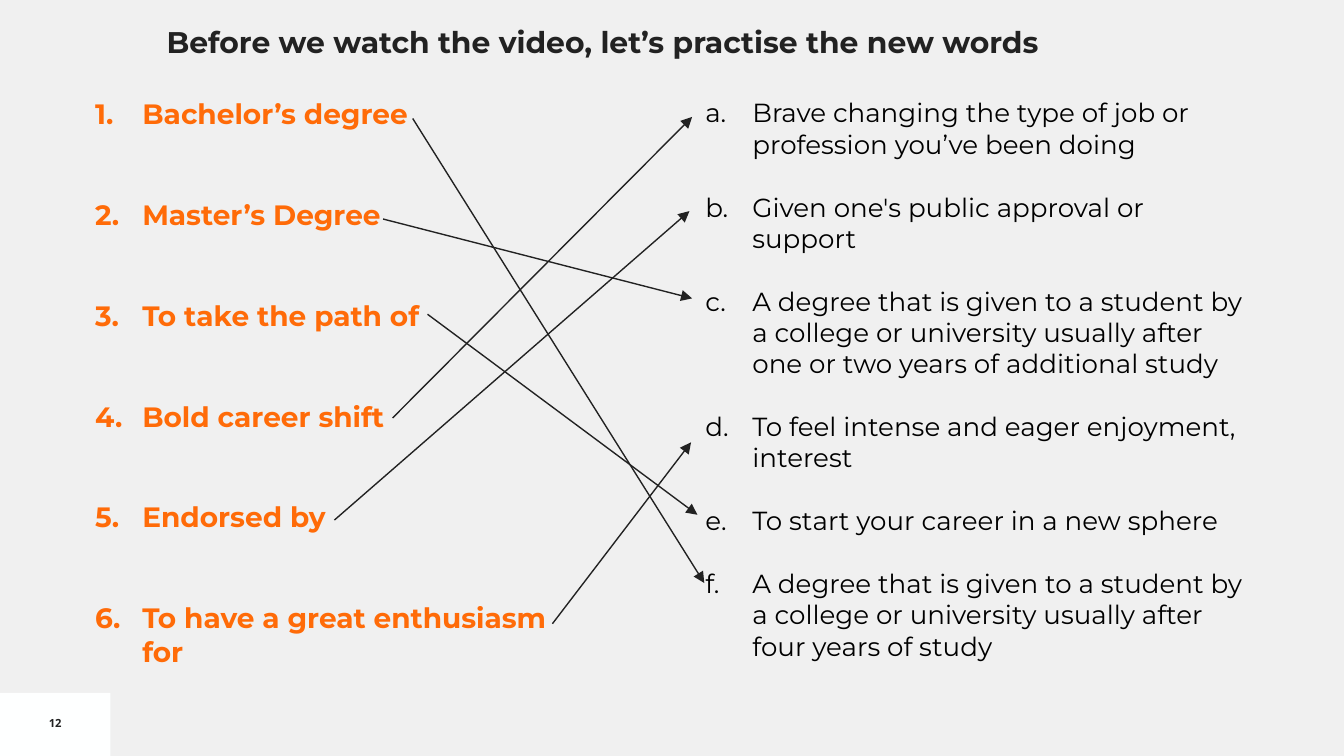
from dataclasses import dataclass

from pptx import Presentation
from pptx.dml.color import RGBColor
from pptx.enum.shapes import MSO_CONNECTOR, MSO_SHAPE
from pptx.enum.text import MSO_ANCHOR, PP_ALIGN
from pptx.oxml.ns import qn
from pptx.util import Cm, Pt
from lxml.etree import SubElement


@dataclass(frozen=True)
class Theme:
    back: str = "F0F0F0"
    panel: str = "FEFFFF"
    dark: str = "222222"
    black: str = "000000"
    accent: str = "FF6B08"
    font: str = "Montserrat"
    small: str = "Open Sans"
    title: float = 16
    term: float = 15
    body: float = 14
    page: float = 6
    line: float = 0.75


class Board:
    def __init__(self, slide, theme):
        self.slide = slide
        self.theme = theme
        fill = slide.background.fill
        fill.solid()
        fill.fore_color.rgb = RGBColor.from_string(theme.back)

    def panel(self, *area):
        shape = self.slide.shapes.add_shape(MSO_SHAPE.RECTANGLE, *map(Cm, area))
        shape.shadow.inherit = False
        shape.fill.solid()
        shape.fill.fore_color.rgb = RGBColor.from_string(self.theme.panel)
        shape.line.fill.background()

    def frame(self, area, inset=0.25):
        frame = self.slide.shapes.add_textbox(*map(Cm, area)).text_frame
        frame.word_wrap = True
        frame.margin_left = frame.margin_right = Cm(inset)
        frame.margin_top = frame.margin_bottom = Cm(inset)
        return frame

    def style(self, para, size, color, bold, face=None):
        font = para.font
        font.name = face or self.theme.font
        font.size = Pt(size)
        font.bold = bold
        font.color.rgb = RGBColor.from_string(color)

    def title(self, text, area):
        para = self.frame(area).paragraphs[0]
        para.text = text
        self.style(para, self.theme.title, self.theme.dark, True)

    def page(self, text, area):
        frame = self.frame(area, 0.1)
        frame.vertical_anchor = MSO_ANCHOR.MIDDLE
        para = frame.paragraphs[0]
        para.text = text
        para.alignment = PP_ALIGN.CENTER
        self.style(para, self.theme.page, self.theme.dark, True, self.theme.small)

    def items(self, texts, area, kind, size, color, gap, bold=False):
        frame = self.frame(area)
        for index, text in enumerate(texts):
            para = frame.add_paragraph() if index else frame.paragraphs[0]
            para.text = text
            props = para._p.get_or_add_pPr()
            props.set("marL", str(Cm(1.27)))
            props.set("indent", str(-Cm(0.89)))
            tint = SubElement(props, qn("a:buClr"))
            SubElement(tint, qn("a:srgbClr"), val=color)
            SubElement(props, qn("a:buFont"), typeface=self.theme.font)
            SubElement(props, qn("a:buAutoNum"), type=kind)
            if index:
                para.space_before = Pt(gap)
            self.style(para, size, color, bold)

    def arrow(self, start, end):
        link = self.slide.shapes.add_connector(
            MSO_CONNECTOR.STRAIGHT, *map(Cm, start + end))
        link.line.color.rgb = RGBColor.from_string(self.theme.dark)
        link.line.width = Pt(self.theme.line)
        SubElement(link.line._get_or_add_ln(), qn("a:tailEnd"), type="triangle")
        SubElement(link._element.spPr, qn("a:effectLst"))


TERMS = [
    "Bachelor’s degree",
    "Master’s Degree",
    "To take the path of",
    "Bold career shift",
    "Endorsed by",
    "To have a great enthusiasm for",
]
SENSES = [
    "Brave changing the type of job or profession you’ve been doing",
    "Given one's public approval or support",
    "A degree that is given to a student by a college or university "
    "usually after one or two years of additional study",
    "To feel intense and eager enjoyment, interest",
    "To start your career in a new sphere",
    "A degree that is given to a student by a college or university "
    "usually after four years of study",
]
STARTS = [(7.8, 2.24), (7.24, 4.14), (8.08, 5.94),
          (7.42, 7.9), (6.32, 9.83), (10.44, 11.79)]
ENDS = {"a": (13.08, 2.21), "b": (13.03, 3.99), "c": (13.08, 5.64),
        "d": (13.06, 8.36), "e": (13.18, 9.73), "f": (13.31, 11.02)}
MATCHES = "fceabd"


def main():
    deck = Presentation()
    deck.slide_width, deck.slide_height = Cm(25.4), Cm(14.29)
    theme = Theme()
    board = Board(deck.slides.add_slide(deck.slide_layouts[6]), theme)
    board.panel(0, 13.1, 2.09, 1.19)
    board.page("12", (0, 13.28, 2.09, 0.76))
    board.title("Before we watch the video, let’s practise the new words",
                (2.9, 0.2, 20.7, 1.19))
    board.items(SENSES, (12.7, 1.58, 11.13, 12.34), "alphaLcPeriod",
                theme.body, theme.black, 16.8)
    board.items(TERMS, (1.17, 1.58, 9.83, 13.34), "arabicPeriod",
                theme.term, theme.accent, 36, True)
    for start, match in zip(STARTS, MATCHES):
        board.arrow(start, ENDS[match])
    deck.save("out.pptx")


if __name__ == "__main__":
    main()
